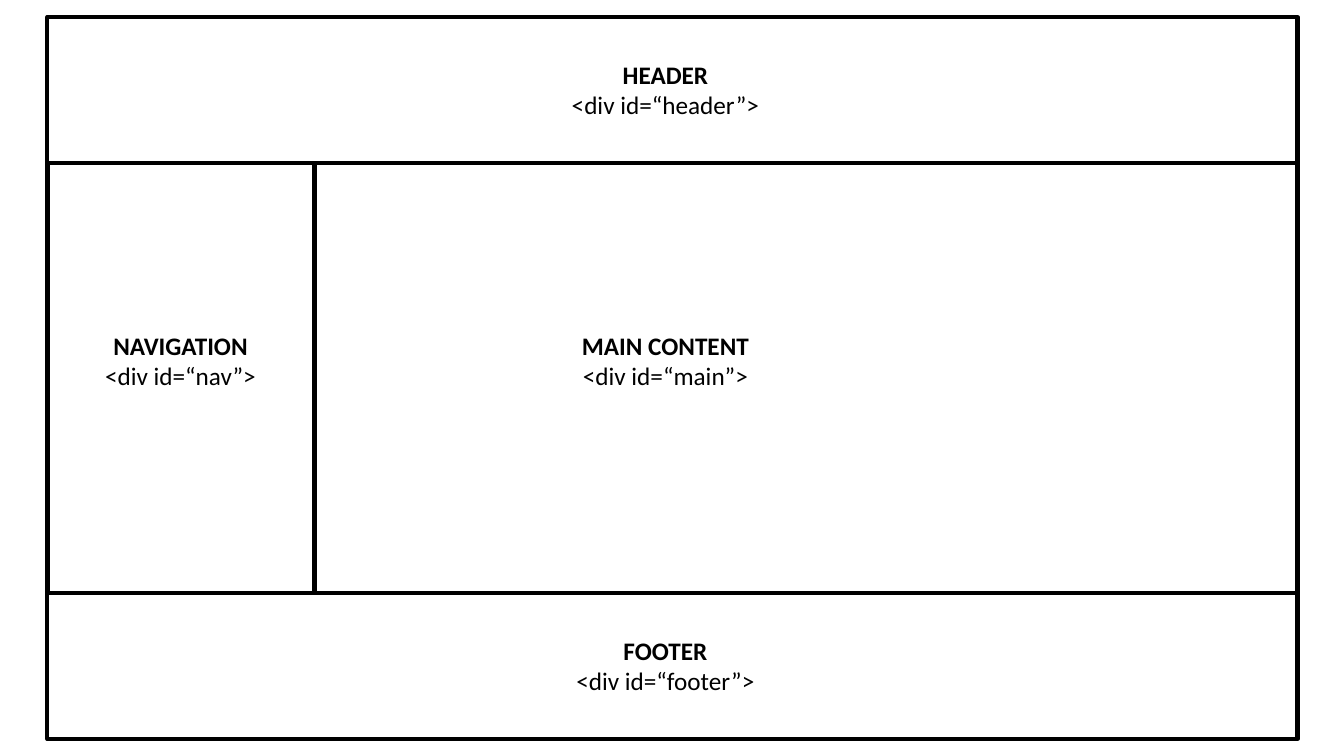
from pptx import Presentation
from pptx.dml.color import RGBColor
from pptx.enum.shapes import MSO_SHAPE
from pptx.enum.text import MSO_AUTO_SIZE, PP_ALIGN
from pptx.util import Inches, Pt

RECTANGLE = MSO_SHAPE.RECTANGLE
CENTER = PP_ALIGN.CENTER
GROW = MSO_AUTO_SIZE.SHAPE_TO_FIT_TEXT
BLACK = RGBColor(0x00, 0x00, 0x00)

LEFT, TOP = 0.47, 0.17
PAGE_WIDTH, NAV_WIDTH = 12.4, 2.65
BAND_HEIGHT, MIDDLE_HEIGHT = 1.45, 4.26
MIDDLE_TOP = TOP + BAND_HEIGHT
FOOTER_TOP = MIDDLE_TOP + MIDDLE_HEIGHT
MAIN_LEFT = LEFT + NAV_WIDTH
MAIN_WIDTH = PAGE_WIDTH - NAV_WIDTH

LABEL_WIDTH, LABEL_HEIGHT = 2.78, 0.71
LABEL_INSET = (BAND_HEIGHT - LABEL_HEIGHT) / 2
NAV_LABEL_LEFT, CENTER_LABEL_LEFT = 0.4, 5.21
MIDDLE_LABEL_TOP = 3.23

REGIONS = [
    (LEFT, FOOTER_TOP, PAGE_WIDTH, BAND_HEIGHT),
    (LEFT, TOP, PAGE_WIDTH, BAND_HEIGHT),
    (LEFT, MIDDLE_TOP, NAV_WIDTH, MIDDLE_HEIGHT),
    (MAIN_LEFT, MIDDLE_TOP, MAIN_WIDTH, MIDDLE_HEIGHT),
]
LABELS = [
    ("HEADER", "header", CENTER_LABEL_LEFT, TOP + LABEL_INSET),
    ("FOOTER", "footer", CENTER_LABEL_LEFT, FOOTER_TOP + LABEL_INSET),
    ("NAVIGATION", "nav", NAV_LABEL_LEFT, MIDDLE_LABEL_TOP),
    ("MAIN CONTENT", "main", CENTER_LABEL_LEFT, MIDDLE_LABEL_TOP),
]


class LayoutSlide:
    font_format = {"name": "Calibri", "size": Pt(18)}
    frame_format = {"word_wrap": True, "auto_size": GROW}
    line_width = Pt(3)

    def __init__(self, deck):
        self.page = deck.slides.add_slide(deck.slide_layouts[6])

    def region(self, *bounds):
        box = self.page.shapes.add_shape(RECTANGLE, *map(Inches, bounds))
        box.shadow.inherit = False
        box.fill.background()
        box.line.color.rgb = BLACK
        box.line.width = self.line_width

    def label(self, heading, div_id, left, top):
        bounds = (left, top, LABEL_WIDTH, LABEL_HEIGHT)
        frame = self.page.shapes.add_textbox(*map(Inches, bounds)).text_frame
        for name, value in self.frame_format.items():
            setattr(frame, name, value)
        frame.text = f"{heading}\n<div id=“{div_id}”>"
        for para, bold in zip(frame.paragraphs, (True, False)):
            para.alignment = CENTER
            span = para.runs[0]
            for name, value in {**self.font_format, "bold": bold}.items():
                setattr(span.font, name, value)
            span.font.color.rgb = BLACK


def main():
    deck = Presentation()
    deck.slide_width, deck.slide_height = Inches(13.33), Inches(7.5)
    slide = LayoutSlide(deck)
    for region in REGIONS:
        slide.region(*region)
    for label in LABELS:
        slide.label(*label)
    deck.save("out.pptx")


if __name__ == "__main__":
    main()
